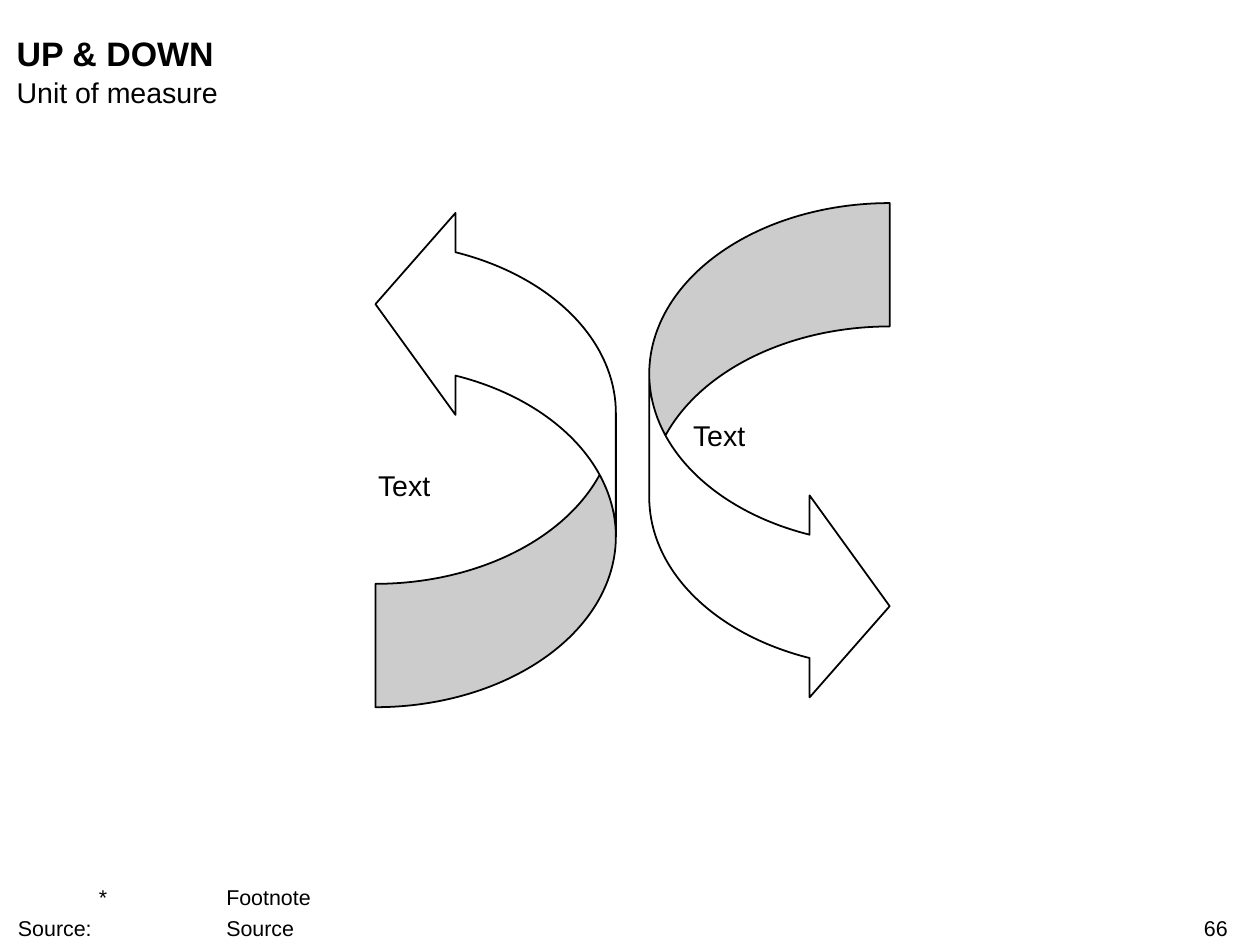
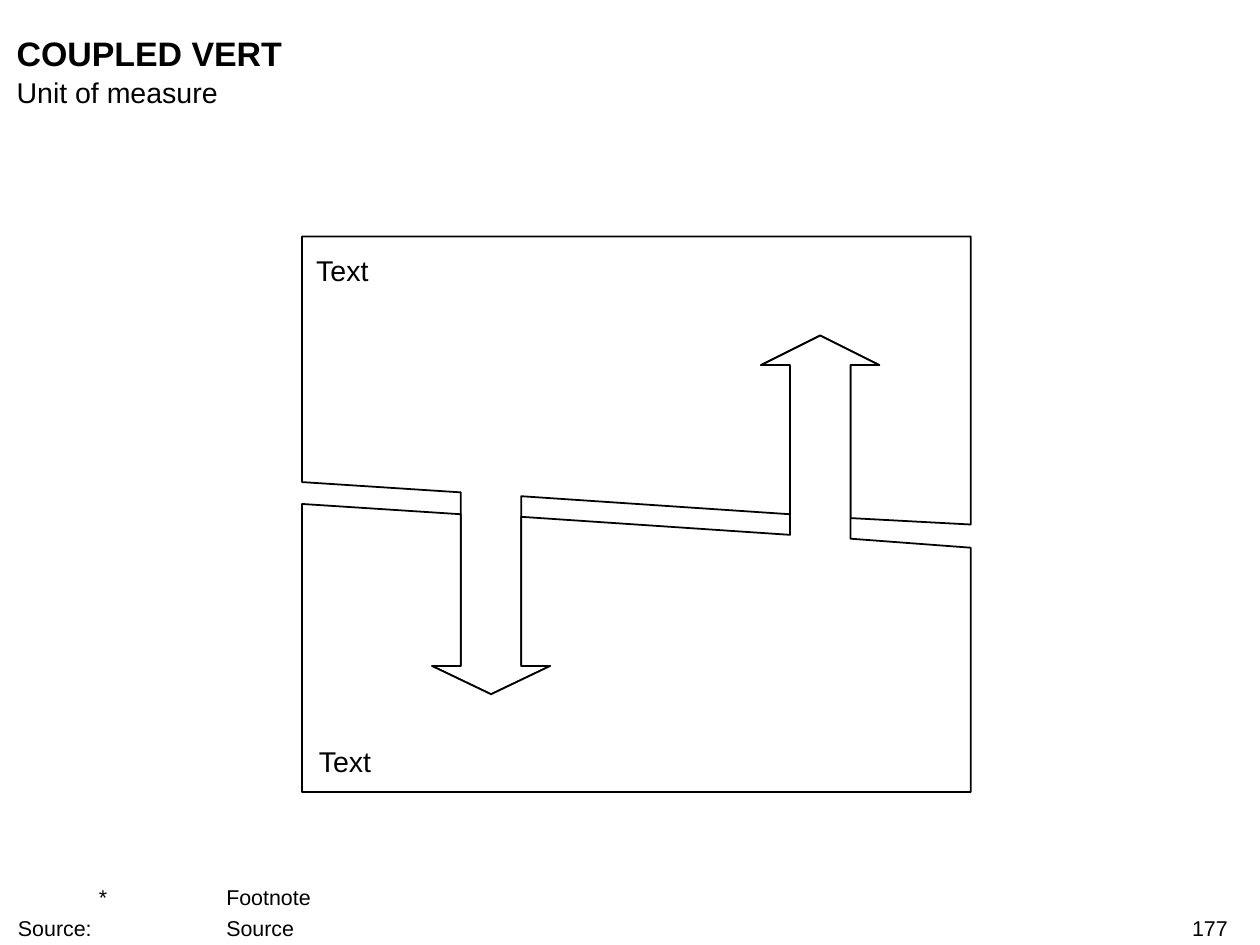
from lxml import etree
from pptx import Presentation
from pptx.dml.color import RGBColor
from pptx.enum.shapes import MSO_SHAPE
from pptx.enum.text import MSO_ANCHOR, MSO_AUTO_SIZE, PP_ALIGN
from pptx.oxml.ns import qn
from pptx.util import Inches, Pt

CURVED_ARROW = MSO_SHAPE.CURVED_RIGHT_ARROW
TOP, MIDDLE, BOTTOM = MSO_ANCHOR.TOP, MSO_ANCHOR.MIDDLE, MSO_ANCHOR.BOTTOM
LEFT, RIGHT = PP_ALIGN.LEFT, PP_ALIGN.RIGHT
NO_FIT = MSO_AUTO_SIZE.NONE

# Shared look
WIDTH, HEIGHT = 9.8, 7.35
COLORS = {"ink": "000000", "paper": "FFFFFF"}
FONT = "Arial"
SIZES = {"title": 19, "body": 16, "note": 12}
AREAS = {
    "title": (0.13, 0.25, 9.43, 0.32),
    "unit": (0.13, 0.58, 9.43, 0.27),
    "notes": (0.14, 6.88, 8.93, 0.44),
    "number": (7.51, 7.12, 2.04, 0.2),
}
UNIT = "Unit of measure"
NOTES = ["\t*\tFootnote", "Source:\t\tSource"]
NOTE_TABS = (0.63, 1.62)

# Up and down: area, rotation of each curved arrow
CURVES = [((5.05, 1.58, 1.87, 3.92), 0), ((2.92, 1.58, 1.87, 3.92), 180)]
CURVE_SHARES = (0.513, 0.84, 0.333)  # band, head width, head length
CURVE_LABELS = [("Text", (2.94, 3.64, 1.65, 0.27)),
                ("Text", (5.39, 3.25, 1.65, 0.27))]

# Coupled panels: arrows as centre, shoulder and tip
PANEL_LEFT, PANEL_RIGHT = 2.35, 7.55
HALF_SHAFT, HALF_HEAD = 0.235, 0.46
ARROWS = [(3.82, 5.18, 5.4), (6.38, 2.84, 2.61)]
PANELS = [  # outer edge, inner edge ends, arrow roots
    {"outer": 1.84, "ends": (3.75, 4.08), "roots": [(3.83, 3.86), (4.0, 4.03)]},
    {"outer": 6.16, "ends": (3.92, 4.26), "roots": [(4.0, 4.02), (4.16, 4.19)]},
]
PANEL_LABELS = [("Text", (2.46, 1.97, 4.97, 0.27), TOP),
                ("Text", (2.48, 5.78, 4.97, 0.27), BOTTOM)]


def color(name):
    return RGBColor.from_string(COLORS[name])


def inches(values):
    return [Inches(value) for value in values]


def add_tabs(para, stops):
    tab_list = etree.SubElement(para._p.get_or_add_pPr(), qn("a:tabLst"))
    for stop in stops:
        etree.SubElement(tab_list, qn("a:tab"), pos=str(Inches(stop)), algn="l")


def write(page, lines, area, size="body", bold=False, align=LEFT,
          anchor=TOP, tabs=(), box=None):
    """Fill a new text box, or the given placeholder, with formatted lines."""
    box = box or page.shapes.add_textbox(0, 0, 0, 0)
    box.left, box.top, box.width, box.height = inches(area)
    frame = box.text_frame
    frame.word_wrap, frame.auto_size = True, NO_FIT
    frame.vertical_anchor = anchor
    frame.margin_left = frame.margin_right = 0
    frame.margin_top = frame.margin_bottom = 0
    for index, line in enumerate(lines):
        para = frame.add_paragraph() if index else frame.paragraphs[0]
        para.alignment = align
        para.space_before = Pt(3 if index else 0)
        if tabs:
            add_tabs(para, tabs)
        span = para.add_run()
        span.text = line
        span.font.name, span.font.size = FONT, Pt(SIZES[size])
        span.font.bold = bold
        span.font.color.rgb = color("ink")


def outline(shape):
    shape.shadow.inherit = False
    shape.fill.solid()
    shape.fill.fore_color.rgb = color("paper")
    shape.line.color.rgb = color("ink")
    shape.line.width = Pt(1)


def add_page(deck, title, number):
    page = deck.slides.add_slide(deck.slide_layouts[5])
    write(page, [title], AREAS["title"], size="title", bold=True,
          box=page.shapes.title)
    write(page, [UNIT], AREAS["unit"])
    write(page, NOTES, AREAS["notes"], size="note", anchor=BOTTOM,
          tabs=NOTE_TABS)
    write(page, [number], AREAS["number"], size="note", align=RIGHT)
    return page


def arrow_points(center, shoulder, tip, roots):
    left, right = center - HALF_SHAFT, center + HALF_SHAFT
    return [(left, roots[0]), (left, shoulder), (center - HALF_HEAD, shoulder),
            (center, tip),
            (center + HALF_HEAD, shoulder), (right, shoulder), (right, roots[1])]


def add_panel(page, outer, ends, roots):
    points = [(PANEL_LEFT, outer), (PANEL_LEFT, ends[0])]
    for arrow, root in zip(ARROWS, roots):
        points += arrow_points(*arrow, root)
    points += [(PANEL_RIGHT, ends[1]), (PANEL_RIGHT, outer)]
    points = [inches(point) for point in points]
    builder = page.shapes.build_freeform(*points[0])
    builder.add_line_segments(points[1:], close=True)
    outline(builder.convert_to_shape())


def main():
    deck = Presentation()
    deck.slide_width, deck.slide_height = inches((WIDTH, HEIGHT))

    # Two curved arrows, one turned half way round
    page = add_page(deck, "UP & DOWN", "66")
    for area, turn in CURVES:
        curve = page.shapes.add_shape(CURVED_ARROW, *inches(area))
        for index, share in enumerate(CURVE_SHARES):
            curve.adjustments[index] = share
        curve.rotation = turn
        outline(curve)
    for label, area in CURVE_LABELS:
        write(page, [label], area, anchor=MIDDLE)

    # Two panels whose arrows reach into each other
    page = add_page(deck, "COUPLED VERT", "177")
    for panel in PANELS:
        add_panel(page, **panel)
    for label, area, anchor in PANEL_LABELS:
        write(page, [label], area, anchor=anchor)

    deck.save("out.pptx")


if __name__ == "__main__":
    main()
